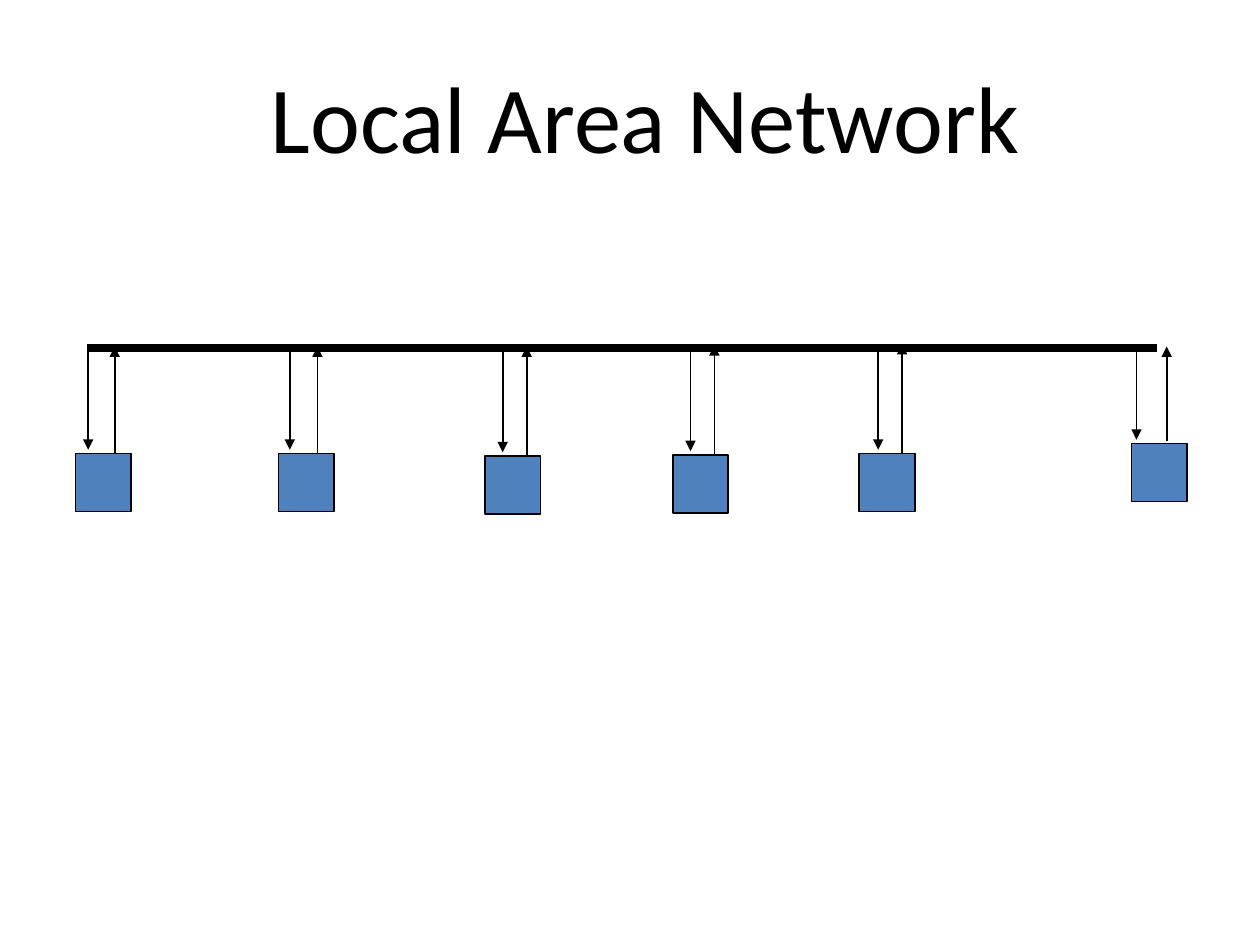
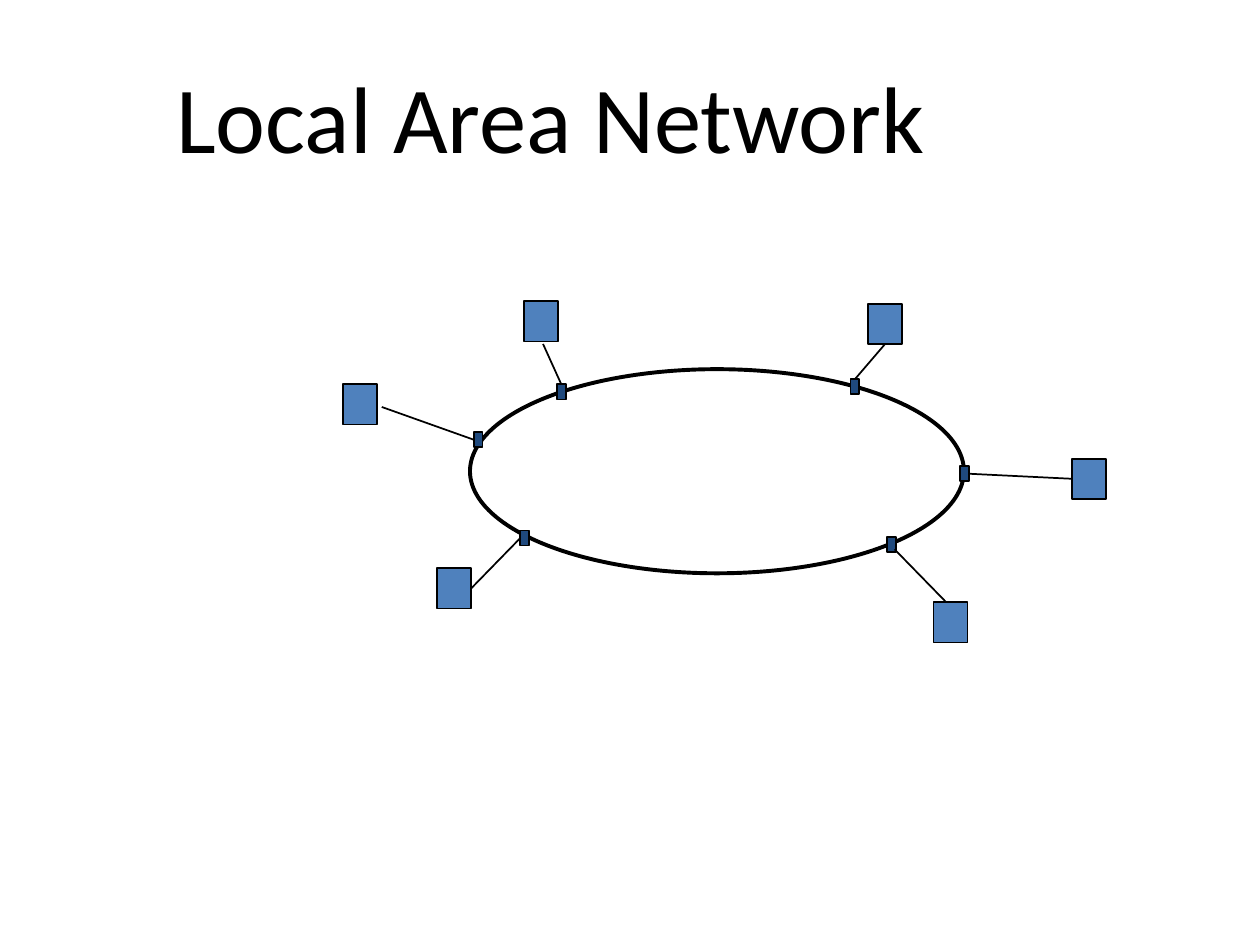
from dataclasses import dataclass
from typing import Optional

from lxml import etree
from pptx import Presentation
from pptx.dml import color
from pptx.enum import shapes, text
from pptx.oxml import ns
from pptx.shapes.autoshape import Shape
from pptx.shapes.connector import Connector
from pptx.slide import Slide
from pptx.util import Inches, Pt

BLACK = "000000"
BLUE = "4F81BD"
NAVY = "1F497D"
FONT = "Calibri"
TITLE_ONLY = 5
TOP, LEFT, BOTTOM, RIGHT = range(4)

BUS_Y = 2.76
STATION_SIZE = (0.44, 0.46)
COMPUTER_SIZE = (0.27, 0.32)
NODE_SIZE = (0.07, 0.12)

Point = tuple[float, float]


@dataclass(frozen=True)
class Station:
    """A computer on the bus, with the x of its receiving and sending arrows."""
    left: float
    top: float
    receive_x: float
    send_x: float
    send_end: float = 2.75
    send_gap: float = 0.0


@dataclass(frozen=True)
class RingLink:
    """A computer and its ring node; a side, when given, joins that line end."""
    computer: Point
    node: Point
    start: Point
    end: Point
    computer_side: Optional[int] = None
    node_side: Optional[int] = None


STATIONS = [
    Station(0.60, 3.60, 0.70, 0.91),
    Station(2.21, 3.60, 2.30, 2.52),
    Station(3.85, 3.62, 3.99, 4.18),
    Station(5.34, 3.61, 5.48, 5.67, send_end=2.74),
    Station(6.82, 3.60, 6.97, 7.16, send_end=2.73),
    Station(8.98, 3.52, 9.02, 9.26, send_gap=0.02),
]

RING_LINKS = [
    RingLink((2.72, 3.05), (3.76, 3.43), (3.03, 3.23), (3.76, 3.47), None, LEFT),
    RingLink((4.16, 2.39), (4.42, 3.05), (4.31, 2.73), (4.45, 3.05), None, TOP),
    RingLink((6.89, 2.41), (6.75, 3.01), (7.03, 2.74), (6.80, 2.99), BOTTOM, TOP),
    RingLink((8.51, 3.64), (7.62, 3.70), (8.51, 3.80), (7.69, 3.77), LEFT, RIGHT),
    RingLink((7.41, 4.78), (7.04, 4.26), (7.51, 4.78), (7.10, 4.36)),
    RingLink((3.47, 4.51), (4.13, 4.21), (3.76, 4.66), (4.13, 4.29), RIGHT, LEFT),
]


def rgb(value: str) -> color.RGBColor:
    return color.RGBColor.from_string(value)


def add_titled_page(deck, title_left: float) -> Slide:
    page = deck.slides.add_slide(deck.slide_layouts[TITLE_ONLY])
    title = page.shapes.title
    title.left, title.top = Inches(title_left), Inches(0.42)
    title.width, title.height = Inches(6.58), Inches(1.01)
    frame = title.text_frame
    frame.word_wrap = True
    frame.auto_size = text.MSO_AUTO_SIZE.SHAPE_TO_FIT_TEXT
    frame.vertical_anchor = text.MSO_ANCHOR.TOP
    para = frame.paragraphs[0]
    para.alignment = text.PP_ALIGN.CENTER
    span = para.add_run()
    span.text = "Local Area Network"
    span.font.name = FONT
    span.font.size = Pt(54)
    span.font.color.rgb = rgb(BLACK)
    return page


def add_outlined(page: Slide, kind: shapes.MSO_SHAPE, corner: Point, size: Point,
                 fill: Optional[str] = None, weight: float = 1) -> Shape:
    box = page.shapes.add_shape(kind, *map(Inches, corner + size))
    box.shadow.inherit = False
    if fill:
        box.fill.solid()
        box.fill.fore_color.rgb = rgb(fill)
    else:
        box.fill.background()
    box.line.color.rgb = rgb(BLACK)
    box.line.width = Pt(weight)
    return box


def add_line(page: Slide, start: Point, end: Point, weight: float = 1,
             arrow: bool = False) -> Connector:
    line = page.shapes.add_connector(shapes.MSO_CONNECTOR.STRAIGHT,
                                     *map(Inches, start + end))
    line.line.color.rgb = rgb(BLACK)
    line.line.width = Pt(weight)
    properties = line._element.spPr
    if arrow:
        etree.SubElement(properties.find(ns.qn("a:ln")), ns.qn("a:tailEnd"),
                         type="triangle")
    etree.SubElement(properties, ns.qn("a:effectLst"))
    return line


def draw_station(page: Slide, station: Station) -> None:
    add_outlined(page, shapes.MSO_SHAPE.RECTANGLE, (station.left, station.top),
                 STATION_SIZE, BLUE)
    add_line(page, (station.receive_x, BUS_Y + 0.03),
             (station.receive_x, station.top - 0.03), arrow=True)
    add_line(page, (station.send_x, station.top - station.send_gap),
             (station.send_x, station.send_end), arrow=True)


def draw_ring_link(page: Slide, link: RingLink) -> None:
    rectangle = shapes.MSO_SHAPE.RECTANGLE
    computer = add_outlined(page, rectangle, link.computer, COMPUTER_SIZE, BLUE)
    node = add_outlined(page, rectangle, link.node, NODE_SIZE, NAVY)
    line = add_line(page, link.start, link.end)
    if link.computer_side is not None:
        line.begin_connect(computer, link.computer_side)
    if link.node_side is not None:
        line.end_connect(node, link.node_side)


def build_bus_page(deck) -> None:
    page = add_titled_page(deck, 1.83)
    for station in STATIONS:
        draw_station(page, station)
    add_line(page, (0.69, BUS_Y), (9.18, BUS_Y), weight=4.5)


def build_ring_page(deck) -> None:
    page = add_titled_page(deck, 1.08)
    add_outlined(page, shapes.MSO_SHAPE.OVAL, (3.73, 2.93), (3.92, 1.62), weight=2.25)
    for link in RING_LINKS:
        draw_ring_link(page, link)


def main() -> None:
    deck = Presentation()
    deck.slide_width, deck.slide_height = Inches(10), Inches(7.5)
    build_bus_page(deck)
    build_ring_page(deck)
    deck.save("out.pptx")


if __name__ == "__main__":
    main()
